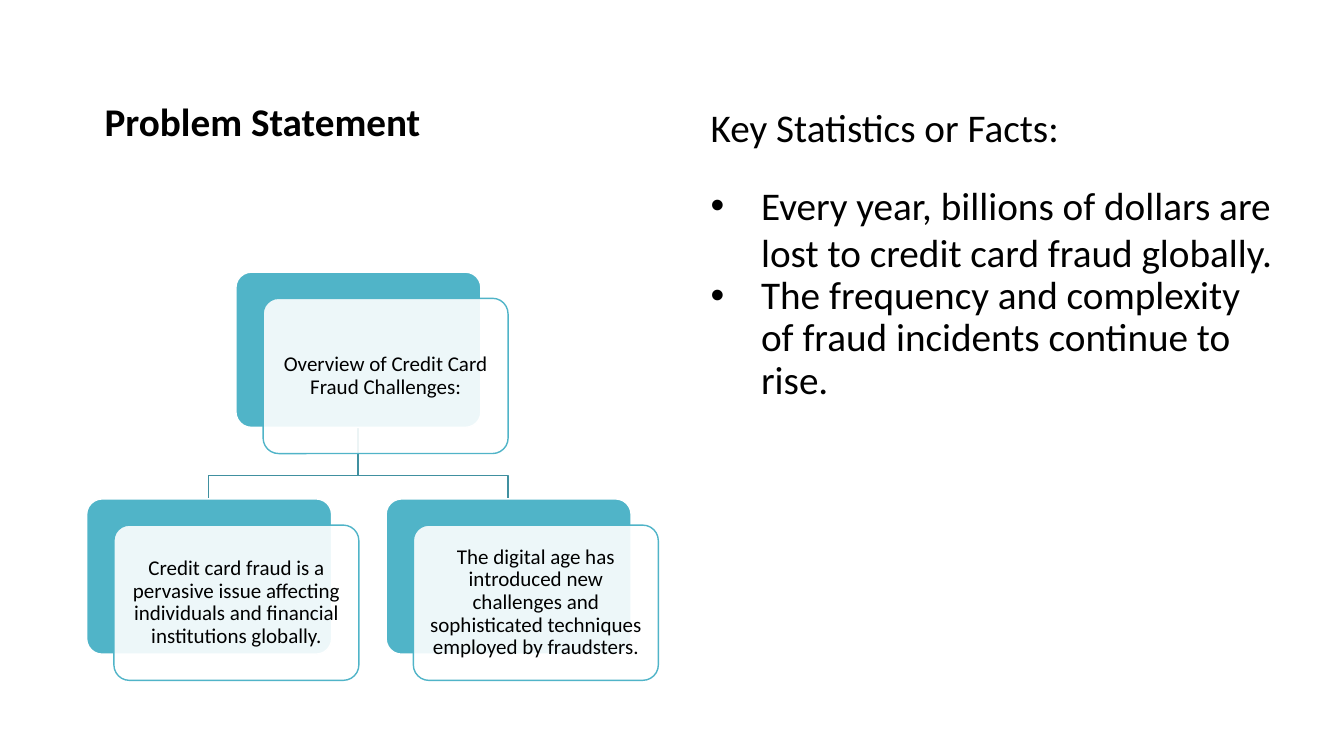
import pptx
import pptx.util
import pptx.dml.color
import pptx.enum.shapes
import pptx.enum.text
import pptx.oxml
import pptx.oxml.ns

PX = 9144  # EMU per px, 100 px to the inch
SLIDE_SIZE = (1333, 750)
FONT = "Calibri"

BLACK = pptx.dml.color.RGBColor(0x00, 0x00, 0x00)
WHITE = pptx.dml.color.RGBColor(0xFF, 0xFF, 0xFF)
TEAL = pptx.dml.color.RGBColor(0x50, 0xB4, 0xC8)
DARK_TEAL = pptx.dml.color.RGBColor(0x40, 0x90, 0xA0)

TITLE = "Problem Statement"
FACTS_HEADING = "Key Statistics or Facts:"
# text, line spacing
FACTS = [
    ("Every year, billions of dollars are lost to credit card fraud globally.", 1.0),
    ("The frequency and complexity of fraud incidents continue to rise.", 0.9),
]
# text, left and top of the card's backing
OVERVIEW = ("Overview of Credit Card Fraud Challenges:", 234, 270)
CHALLENGES = [
    ("Credit card fraud is a pervasive issue affecting individuals "
     "and financial institutions globally.", 86, 495),
    ("The digital age has introduced new challenges and sophisticated "
     "techniques employed by fraudsters.", 383, 495),
]

TITLE_BOX = (94, 60, 490, 145)
FACTS_BOX = (695, 98, 579, 610)
CARD_W, CARD_H = 243, 154
FRONT_DX, FRONT_DY = 27, 26
CARD_INSET = 6
BEND_RISE = 23
BULLET_INDENT = 50
FACTS_GAP = 22  # points


def emu(*lengths):
    return [length * PX for length in lengths]


def style(paragraph, size, bold=False):
    for run in paragraph.runs:
        run.font.name = FONT
        run.font.size = pptx.util.Pt(size)
        run.font.bold = bold
        run.font.color.rgb = BLACK


def add_text_frame(slide, box):
    frame = slide.shapes.add_textbox(*emu(*box)).text_frame
    frame.word_wrap = True
    return frame


def add_title(slide):
    frame = add_text_frame(slide, TITLE_BOX)
    frame.vertical_anchor = pptx.enum.text.MSO_ANCHOR.MIDDLE
    frame.margin_bottom = 31 * PX
    frame.text = TITLE
    style(frame.paragraphs[0], 28, bold=True)


def add_bullet(paragraph):
    properties = paragraph._p.get_or_add_pPr()
    properties.set("marL", str(BULLET_INDENT * PX))
    properties.set("indent", str(-BULLET_INDENT * PX))
    for tag, attribute, value in (("buFont", "typeface", "Arial"), ("buChar", "char", "•")):
        properties.append(pptx.oxml.parse_xml(
            f'<a:{tag} {pptx.oxml.ns.nsdecls("a")} {attribute}="{value}"/>'))


def add_facts(slide):
    frame = add_text_frame(slide, FACTS_BOX)
    frame.text = FACTS_HEADING
    heading = frame.paragraphs[0]
    heading.space_after = pptx.util.Pt(FACTS_GAP)
    style(heading, 28)
    for text, spacing in FACTS:
        fact = frame.add_paragraph()
        fact.text = text
        fact.line_spacing = spacing
        add_bullet(fact)
        style(fact, 28)


def add_branch(slide, parent, child):
    """Draw the elbow from the parent's bottom to the child's top."""
    _, parent_left, parent_top = parent
    _, child_left, child_top = child
    start_x, end_x = parent_left + CARD_W // 2, child_left + CARD_W // 2
    bend_y = child_top - BEND_RISE
    builder = slide.shapes.build_freeform(start_x, parent_top + CARD_H, scale=PX)
    builder.add_line_segments(
        [(start_x, bend_y), (end_x, bend_y), (end_x, child_top)], close=False)
    branch = builder.convert_to_shape()
    branch.fill.background()
    branch.line.color.rgb = DARK_TEAL
    branch.line.width = pptx.util.Pt(1)
    branch.shadow.inherit = False


def add_panel(slide, left, top, fill, line):
    panel = slide.shapes.add_shape(
        pptx.enum.shapes.MSO_SHAPE.ROUNDED_RECTANGLE, *emu(left, top, CARD_W, CARD_H))
    panel.adjustments[0] = 0.1
    panel.fill.solid()
    panel.fill.fore_color.rgb = fill
    panel.line.color.rgb = line
    panel.line.width = pptx.util.Pt(1)
    panel.shadow.inherit = False
    return panel


def add_card(slide, text, left, top):
    add_panel(slide, left, top, TEAL, WHITE)
    front = add_panel(slide, left + FRONT_DX, top + FRONT_DY, WHITE, TEAL)
    color = front._element.spPr.find(
        f'{pptx.oxml.ns.qn("a:solidFill")}/{pptx.oxml.ns.qn("a:srgbClr")}')
    color.append(pptx.oxml.parse_xml(
        f'<a:alpha {pptx.oxml.ns.nsdecls("a")} val="90000"/>'))

    frame = front.text_frame
    frame.word_wrap = True
    frame.vertical_anchor = pptx.enum.text.MSO_ANCHOR.MIDDLE
    frame.margin_left = frame.margin_right = CARD_INSET * PX
    frame.margin_top = frame.margin_bottom = CARD_INSET * PX
    frame.text = text
    label = frame.paragraphs[0]
    label.alignment = pptx.enum.text.PP_ALIGN.CENTER
    label.line_spacing = 0.9
    style(label, 15)


def main():
    presentation = pptx.Presentation()
    presentation.slide_width, presentation.slide_height = emu(*SLIDE_SIZE)
    slide = presentation.slides.add_slide(presentation.slide_layouts[6])
    add_title(slide)
    add_facts(slide)
    for challenge in reversed(CHALLENGES):
        add_branch(slide, OVERVIEW, challenge)
    for card in [OVERVIEW, *CHALLENGES]:
        add_card(slide, *card)
    presentation.save("out.pptx")


if __name__ == "__main__":
    main()
